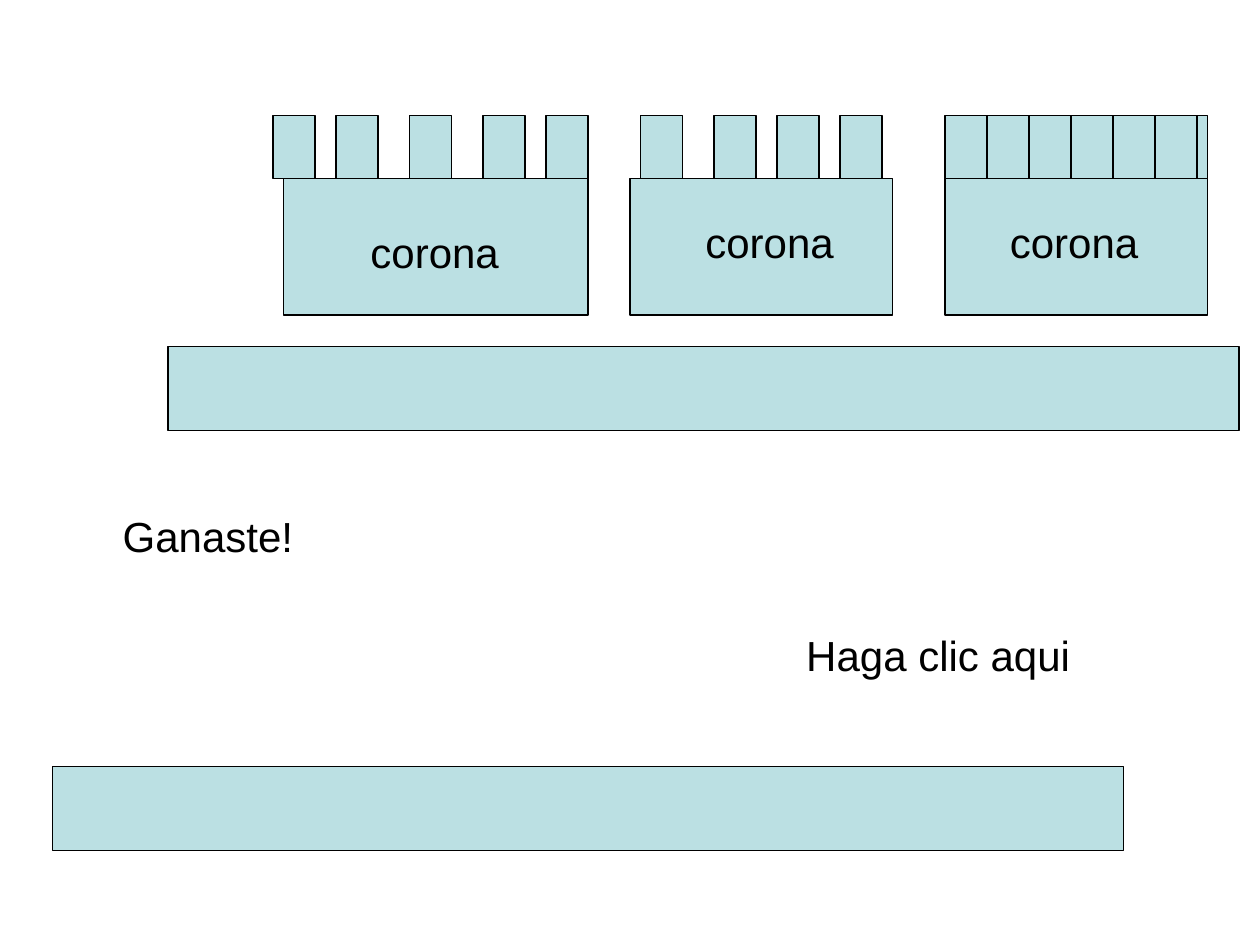
"""Build a slide with three crowns, two bars and a winning message."""

from typing import NamedTuple

from pptx import Presentation
from pptx.dml.color import RGBColor
from pptx.enum.shapes import MSO_SHAPE
from pptx.enum.text import MSO_AUTO_SIZE
from pptx.util import Inches, Pt

RECTANGLE = MSO_SHAPE.RECTANGLE
FIT_SHAPE = MSO_AUTO_SIZE.SHAPE_TO_FIT_TEXT
PALE_TEAL = RGBColor(0xBB, 0xE0, 0xE3)
BLACK = RGBColor(0, 0, 0)
FONT = "Arial"
FONT_SIZE = Pt(24)
COLUMNS, ROWS = 120, 90
CELL = Inches(10) / COLUMNS
POINT_ROW, POINT_WIDTH, POINT_HEIGHT = 11, 4, 6
BASE_ROW, BASE_HEIGHT = POINT_ROW + POINT_HEIGHT, 13
BAR_WIDTH, BAR_HEIGHT = 102, 8
LABEL_HEIGHT = 6


class Area(NamedTuple):
    column: float
    row: float
    width: float
    height: float


class Label(NamedTuple):
    text: str
    column: float
    row: float
    width: float


class Crown(NamedTuple):
    column: int
    width: int
    points: tuple[int, ...]
    label: Label


CROWNS = (
    Crown(27, 29, (26, 32, 39, 46, 52), Label("corona", 34.1, 21, 14.6)),
    Crown(60, 25, (61, 68, 74, 80), Label("corona", 66, 20, 14.6)),
    Crown(90, 25, (90, 94, 98, 102, 106, 111, 110), Label("corona", 95, 20, 14.6)),
)
BARS = (
    Area(16, 33, BAR_WIDTH, BAR_HEIGHT),
    Area(5, 73, BAR_WIDTH, BAR_HEIGHT),
)
MESSAGES = (
    Label("Ganaste!", 10.5, 48, 18.6),
    Label("Haga clic aqui", 75.6, 59.4, 27.5),
)


def to_emu(area: Area) -> list[int]:
    """Convert grid units to slide lengths."""
    return [round(units * CELL) for units in area]


def draw_block(slide, area: Area) -> None:
    """Draw one outlined teal rectangle."""
    block = slide.shapes.add_shape(RECTANGLE, *to_emu(area))
    block.shadow.inherit = False
    block.fill.solid()
    block.fill.fore_color.rgb = PALE_TEAL
    block.line.color.rgb = BLACK
    block.line.width = Pt(0.75)


def draw_label(slide, label: Label) -> None:
    """Write one line of text."""
    area = Area(label.column, label.row, label.width, LABEL_HEIGHT)
    frame = slide.shapes.add_textbox(*to_emu(area)).text_frame
    frame.text = label.text
    frame.word_wrap = False
    frame.auto_size = FIT_SHAPE
    font = frame.paragraphs[0].runs[0].font
    font.name = FONT
    font.size = FONT_SIZE
    font.color.rgb = BLACK


def draw_crown(slide, crown: Crown) -> None:
    """Draw a crown from its base, points and label."""
    for column in crown.points:
        draw_block(slide, Area(column, POINT_ROW, POINT_WIDTH, POINT_HEIGHT))
    draw_block(slide, Area(crown.column, BASE_ROW, crown.width, BASE_HEIGHT))
    draw_label(slide, crown.label)


def main() -> None:
    """Build and save the presentation."""
    presentation = Presentation()
    presentation.slide_width = round(COLUMNS * CELL)
    presentation.slide_height = round(ROWS * CELL)
    slide = presentation.slides.add_slide(presentation.slide_layouts[6])
    for crown in CROWNS:
        draw_crown(slide, crown)
    for bar in BARS:
        draw_block(slide, bar)
    for message in MESSAGES:
        draw_label(slide, message)
    presentation.save("out.pptx")


if __name__ == "__main__":
    main()
